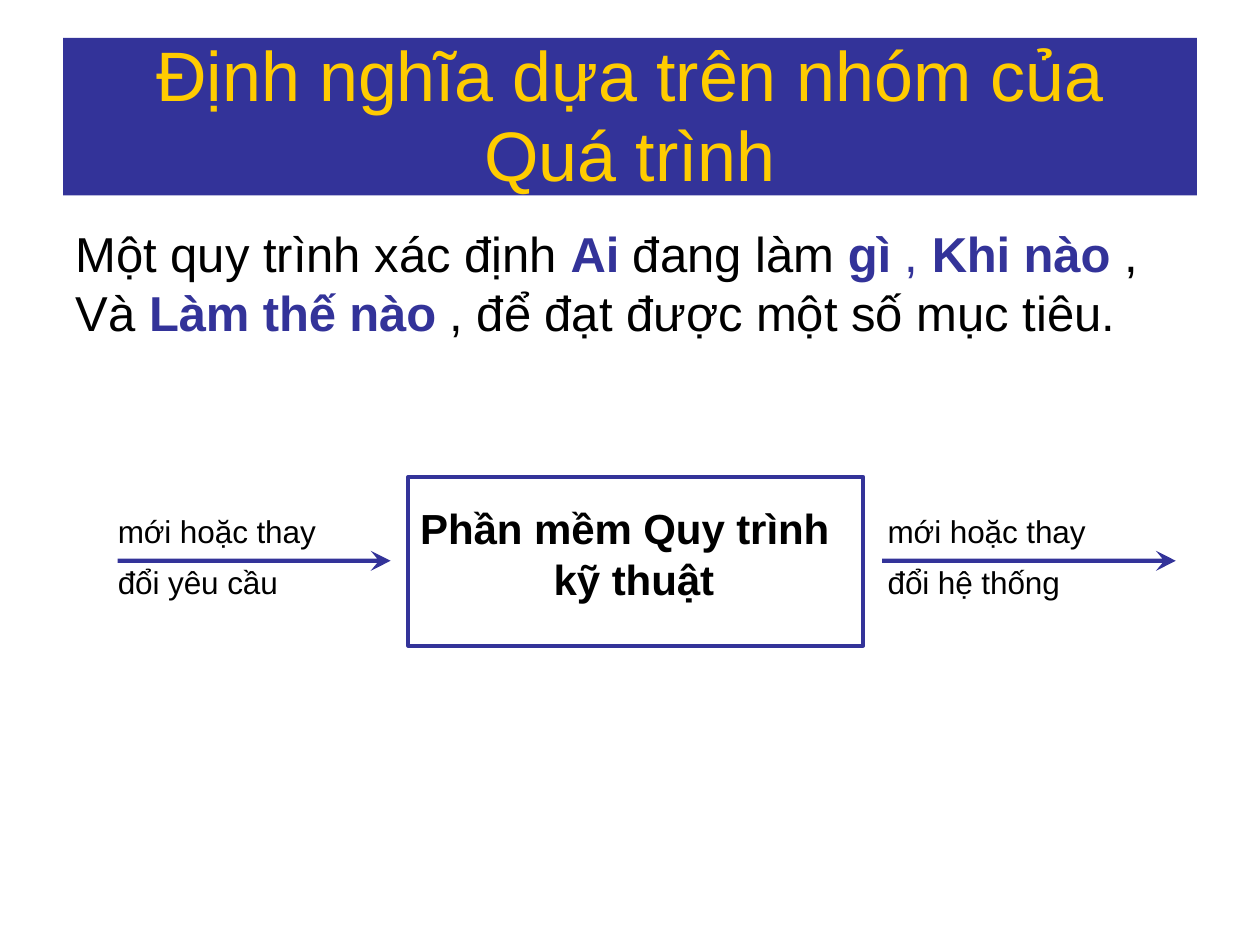
from dataclasses import dataclass

from pptx import Presentation
from pptx.dml.color import RGBColor
from pptx.enum.shapes import MSO_SHAPE
from pptx.enum.text import MSO_ANCHOR, MSO_AUTO_SIZE, PP_ALIGN
from pptx.util import Pt

TOP = MSO_ANCHOR.TOP
FIXED = MSO_AUTO_SIZE.NONE
CENTER = PP_ALIGN.CENTER
LEFT = PP_ALIGN.LEFT
RECTANGLE = MSO_SHAPE.RECTANGLE

FONT = "Arial"
BLUE = "333399"
YELLOW = "FFCC00"
BLACK = "000000"
TITLE_ONLY = 5
TIGHT = -5


@dataclass(frozen=True)
class Span:
    text: str
    color: str = BLACK
    bold: bool = False
    tracking: int = 0


@dataclass(frozen=True)
class Flow:
    text: str
    text_left: float
    start: float
    end: float


BODY = [
    Span("Một quy trình xác định "),
    Span("Ai ", BLUE, True, TIGHT),
    Span("đang làm "),
    Span("gì ", BLUE, True, TIGHT),
    Span(", ", BLUE, False, TIGHT),
    Span("Khi nào ", BLUE, True, TIGHT),
    Span(", ", tracking=TIGHT),
    Span("Và "),
    Span("Làm thế nào ", BLUE, True, TIGHT),
    Span(", ", tracking=TIGHT),
    Span("để "),
    Span("đạt ", tracking=TIGHT),
    Span("được một số mục tiêu."),
]
TITLE = [
    ([Span("Định nghĩa dựa trên ", YELLOW, False, TIGHT), Span("nhóm của", YELLOW)], 44.4),
    ([Span("Quá trình", YELLOW, False, TIGHT)], 45.6),
]
FLOWS = [
    Flow("mới hoặc thay đổi yêu cầu", 66.6, 67.2, 223.2),
    Flow("mới hoặc thay đổi hệ thống", 506.5, 504, 671.9),
]
FLOW_TOP = 284.8
ARROW_MIDDLE = 320.5
SHAFT_HALF = 1.2
HEAD_HALF = 5.76
HEAD_LENGTH = 11.4
NOTCH_LENGTH = 7.6


def rgb(color: str) -> RGBColor:
    return RGBColor.from_string(color)


def apply(target, values: dict) -> None:
    for name, value in values.items():
        setattr(target, name, value)


def prepare_frame(box, top: float = 0):
    frame = box.text_frame
    apply(frame, {
        "margin_left": 0, "margin_right": 0, "margin_bottom": 0,
        "margin_top": Pt(top), "word_wrap": True,
        "auto_size": FIXED, "vertical_anchor": TOP,
    })
    return frame


def write(para, spans: list[Span], size: float, layout: dict) -> None:
    apply(para, layout)
    for item in spans:
        span = para.add_run()
        span.text = item.text
        apply(span.font, {"name": FONT, "size": Pt(size), "bold": item.bold})
        span.font.color.rgb = rgb(item.color)
        if item.tracking:
            span._r.get_or_add_rPr().set("spc", str(item.tracking))


def indent(para, left: float, first: float) -> None:
    properties = para._p.get_or_add_pPr()
    properties.set("marL", str(Pt(left)))
    properties.set("indent", str(Pt(first)))


def add_text(page, place: tuple, spans: list[Span], size: float, layout: dict) -> None:
    box = page.shapes.add_textbox(*map(Pt, place))
    para = prepare_frame(box, 0.72).paragraphs[0]
    write(para, spans, size, {"space_before": Pt(1), **layout})
    indent(para, 0.72, 0)


def add_title(page) -> None:
    title = page.shapes.title
    apply(title, {"left": Pt(36), "top": Pt(21.6), "width": Pt(648), "height": Pt(90)})
    title.fill.solid()
    title.fill.fore_color.rgb = rgb(BLUE)
    frame = prepare_frame(title)
    for number, (spans, spacing) in enumerate(TITLE):
        para = frame.add_paragraph() if number else frame.paragraphs[0]
        layout = {"alignment": CENTER, "line_spacing": Pt(spacing), "space_before": Pt(0)}
        write(para, spans, 40, layout)


def add_process(page) -> None:
    box = page.shapes.add_shape(RECTANGLE, Pt(233.28), Pt(272.5), Pt(259.92), Pt(96.48))
    box.shadow.inherit = False
    box.fill.background()
    box.line.color.rgb = rgb(BLUE)
    box.line.width = Pt(2.25)
    para = prepare_frame(box, 14.2).paragraphs[0]
    layout = {"alignment": LEFT, "line_spacing": 1.01, "space_before": Pt(14.3)}
    write(para, [Span("Phần mềm Quy trình kỹ thuật", BLACK, True, TIGHT)], 24, layout)
    indent(para, 83.1, -76.32)


def add_arrow(page, start: float, end: float) -> None:
    notch, barb = end - NOTCH_LENGTH, end - HEAD_LENGTH
    upper = [(start, -SHAFT_HALF), (notch, -SHAFT_HALF), (barb, -HEAD_HALF)]
    lower = [(across, -offset) for across, offset in reversed(upper)]
    outline = [(Pt(across), Pt(ARROW_MIDDLE + offset))
               for across, offset in [*upper, (end, 0), *lower]]
    builder = page.shapes.build_freeform(*outline[0])
    builder.add_line_segments(outline[1:], close=True)
    arrow = builder.convert_to_shape()
    arrow.shadow.inherit = False
    arrow.fill.solid()
    arrow.fill.fore_color.rgb = rgb(BLUE)
    arrow.line.fill.background()


def main() -> None:
    deck = Presentation()
    deck.slide_width, deck.slide_height = Pt(720), Pt(540)
    page = deck.slides.add_slide(deck.slide_layouts[TITLE_ONLY])
    add_title(page)
    add_text(page, (42.48, 127.1, 627.84, 69.12), BODY, 28, {})
    for flow in FLOWS:
        place = (flow.text_left, FLOW_TOP, 133.2, 59.76)
        spans = [Span(flow.text, tracking=TIGHT)]
        add_text(page, place, spans, 18, {"line_spacing": 1.34})
    add_process(page)
    for flow in FLOWS:
        add_arrow(page, flow.start, flow.end)
    deck.save("out.pptx")


main()
